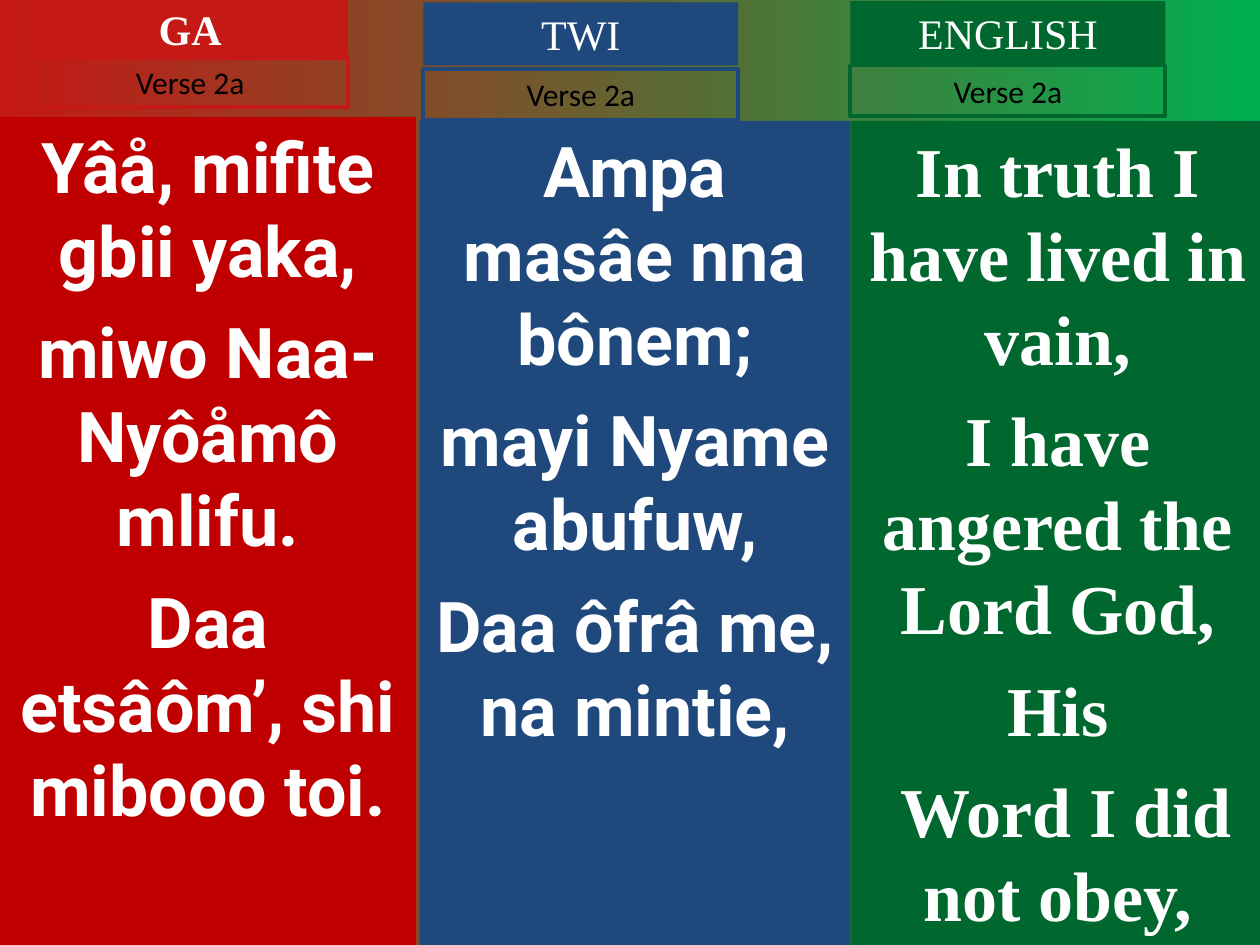
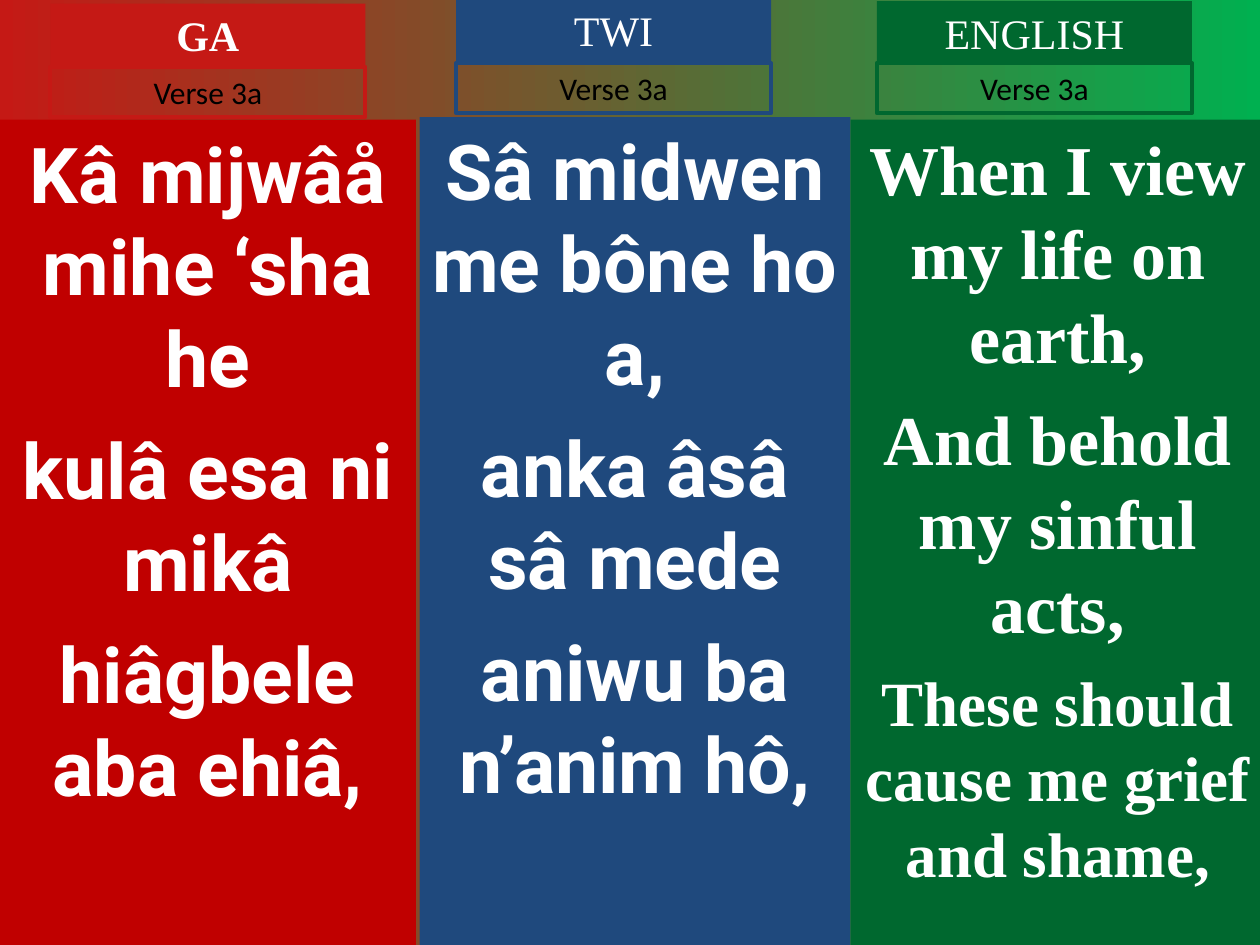
from dataclasses import dataclass

from pptx import Presentation
from pptx import util as u
from pptx.dml.color import RGBColor
from pptx.enum import text
from pptx.oxml.ns import qn

# Content: each verse has one entry per language, with the lines to sing,
# their sizes and the places of the panel, heading and verse label.
VERSES = [
    {"label": "Verse 2a", "columns": [
        {"lines": [("Yâå, mifite gbii yaka,", 40),
                   ("miwo Naa-Nyôåmô mlifu.", 40),
                   ("Daa etsâôm’, shi mibooo toi.", 40)],
         "panel_top": 0.93, "heading_at": (0.26, -0.02), "label_top": 0.45},
        {"lines": [("Ampa masâe nna bônem;", 40),
                   ("mayi Nyame abufuw,", 40),
                   ("Daa ôfrâ me, na mintie,", 40)],
         "panel_top": 0.96, "heading_at": (3.36, 0.02), "label_top": 0.55},
        {"lines": [("In truth I have lived in vain,", 40),
                   ("I have angered the Lord God,", 40),
                   ("His", 40),
                   (" Word I did not obey,", 40)],
         "panel_top": 0.96, "heading_at": (6.75, 0.01), "label_top": 0.52},
    ]},
    {"label": "Verse 3a", "columns": [
        {"lines": [("Kâ mijwâå mihe ‘sha he", 44),
                   ("kulâ esa ni mikâ", 44),
                   ("hiâgbele aba ehiâ,", 44)],
         "panel_top": 0.95, "heading_at": (0.4, 0.03), "label_top": 0.53},
        {"lines": [("Sâ midwen me bône ho a,", 44),
                   ("anka âsâ sâ mede", 44),
                   ("aniwu ba n’anim hô,", 44)],
         "panel_top": 0.93, "heading_at": (3.62, -0.01), "label_top": 0.5},
        {"lines": [("When I view my life on earth,", 40),
                   ("And behold my sinful acts,", 40),
                   ("These should cause me grief and shame,", 36)],
         "panel_top": 0.95, "heading_at": (6.96, 0.01), "label_top": 0.5},
    ]},
]

# What every slide shares for each language
LANGUAGES = [
    {"name": "GA", "bold": True, "panel": "C00000", "accent": "C51915",
     "font": "Roboto", "left": 0, "width": 3.3},
    {"name": "TWI", "bold": False, "panel": "1F497D", "accent": "1F497D",
     "font": "Roboto", "left": 3.33, "width": 3.42},
    {"name": "ENGLISH", "bold": False, "panel": "00682F", "accent": "00682F",
     "font": "Times New Roman", "left": 6.75, "width": 3.29},
]


@dataclass(frozen=True)
class Theme:
    background: tuple = ("C51915", "00B050")
    light: str = "FFFFFF"
    dark: str = "000000"
    heading_font: str = "Times New Roman"
    label_font: str = "Calibri"
    heading_size: int = 24
    label_size: int = 18
    border: float = 2.25
    leading: float = 1.2
    gap: float = 0.25  # space between lines, as a share of the type size


THEME = Theme()
SLIDE_WIDTH, SLIDE_HEIGHT = 10, 7.5
TAG_WIDTH, HEADING_HEIGHT, LABEL_HEIGHT = 2.5, 0.5, 0.4
TWO_CONTENT = 3


def rgb(code):
    return RGBColor.from_string(code)


def place(box, left, top, width, height):
    box.left, box.top = u.Inches(left), u.Inches(top)
    box.width, box.height = u.Inches(width), u.Inches(height)


def fill(box, color):
    box.fill.solid()
    box.fill.fore_color.rgb = rgb(color)


def write(box, lines, font, color, bold):
    """Write centred lines, given as (words, size), from the top of the box."""
    frame = box.text_frame
    frame.word_wrap = True
    frame.auto_size = text.MSO_AUTO_SIZE.NONE
    frame.vertical_anchor = text.MSO_ANCHOR.TOP
    for i, (words, size) in enumerate(lines):
        line = frame.add_paragraph() if i else frame.paragraphs[0]
        props = line._p.get_or_add_pPr()
        props.set("marL", "0")
        props.set("indent", "0")
        props.append(props.makeelement(qn("a:buNone"), {}))
        line.alignment = text.PP_ALIGN.CENTER
        line.line_spacing = u.Pt(size * THEME.leading)
        line.space_before = u.Pt(size * THEME.gap if i else 0)
        run = line.add_run()
        run.text = words
        run.font.name, run.font.size, run.font.bold = font, u.Pt(size), bold
        run.font.color.rgb = rgb(color)


def add_column(slide, language, column, label, panel_box, label_box):
    # Panel with the lines to sing
    top = column["panel_top"]
    place(panel_box, language["left"], top, language["width"], SLIDE_HEIGHT - top)
    fill(panel_box, language["panel"])
    write(panel_box, column["lines"], language["font"], THEME.light, True)

    # Language heading
    left, top = column["heading_at"]
    heading = slide.shapes.add_textbox(0, 0, 0, 0)
    place(heading, left, top, TAG_WIDTH, HEADING_HEIGHT)
    fill(heading, language["accent"])
    write(heading, [(language["name"], THEME.heading_size)],
          THEME.heading_font, THEME.light, language["bold"])

    # Verse label
    place(label_box, left, column["label_top"], TAG_WIDTH, LABEL_HEIGHT)
    label_box.line.color.rgb = rgb(language["accent"])
    label_box.line.width = u.Pt(THEME.border)
    write(label_box, [(label, THEME.label_size)], THEME.label_font, THEME.dark, False)


def add_verse(prs, verse):
    slide = prs.slides.add_slide(prs.slide_layouts[TWO_CONTENT])
    title, *bodies = slide.placeholders

    def new_box():
        return slide.shapes.add_textbox(0, 0, 0, 0)

    # The first label is the slide title; two panels are body placeholders
    panel_boxes = [*bodies, new_box()]
    label_boxes = [title, new_box(), new_box()]
    for language, column, panel_box, label_box in zip(
            LANGUAGES, verse["columns"], panel_boxes, label_boxes):
        add_column(slide, language, column, verse["label"], panel_box, label_box)


def main():
    prs = Presentation()
    prs.slide_width, prs.slide_height = u.Inches(SLIDE_WIDTH), u.Inches(SLIDE_HEIGHT)

    # Shared background, red to green from left to right
    backdrop = prs.slide_master.background.fill
    backdrop.gradient()
    backdrop.gradient_angle = 0
    for stop, color in zip(backdrop.gradient_stops, THEME.background):
        stop.color.rgb = rgb(color)

    for verse in VERSES:
        add_verse(prs, verse)
    prs.save("out.pptx")


if __name__ == "__main__":
    main()
